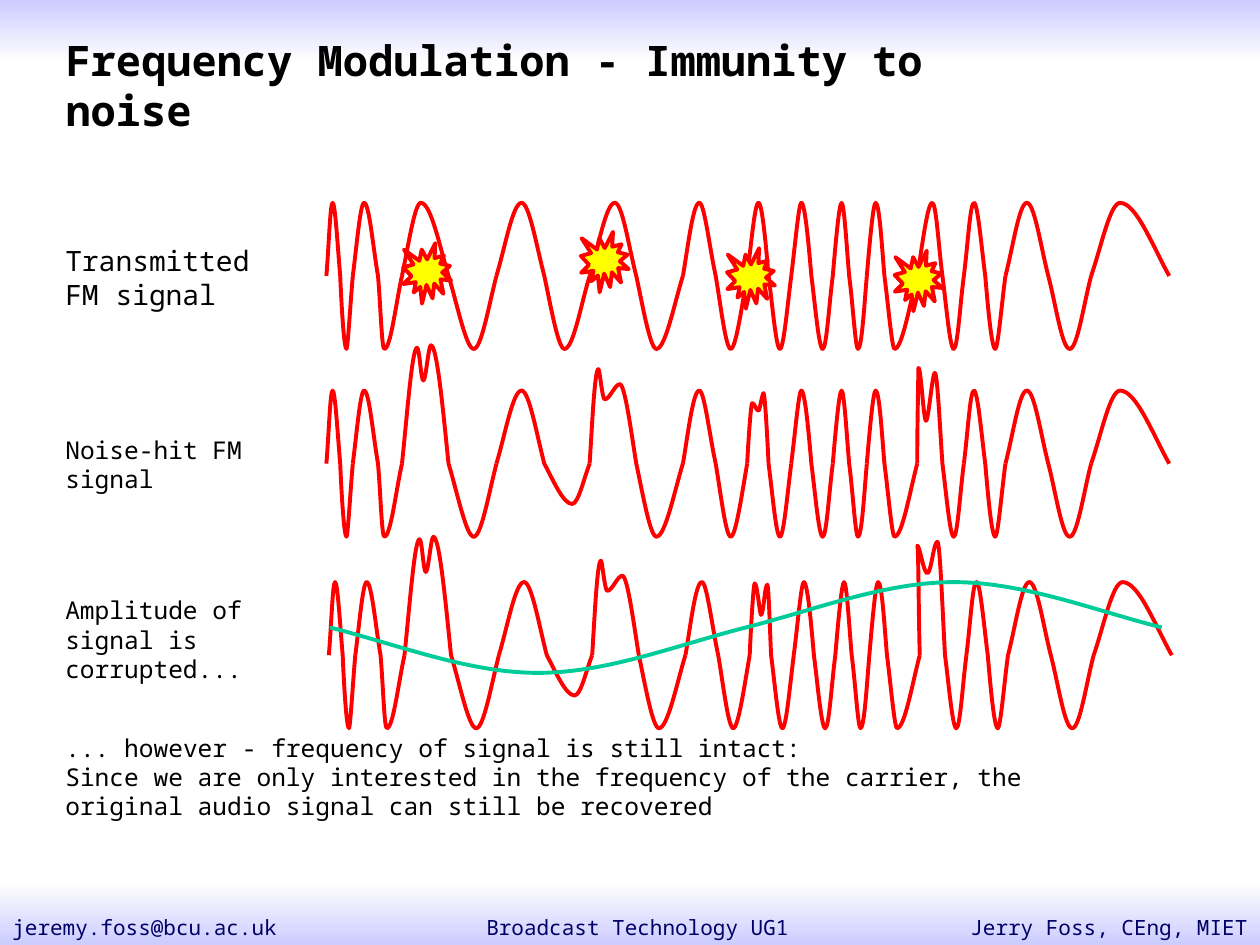
import pptx
import pptx.dml.color
import pptx.enum.shapes
import pptx.enum.text
import pptx.oxml.ns
import pptx.util

PX = 9144  # 100 px to the inch
FONT = "Noto Sans Mono"
ALIGN = pptx.enum.text.PP_ALIGN
SHAPE = pptx.enum.shapes.MSO_SHAPE
RED, YELLOW, GREEN = "FF0000", "FFFF00", "00CC99"
LILAC, WHITE, NAVY, BLACK = "CCCCFF", "FFFFFF", "000066", "000000"
LINE_WIDTH = pptx.util.Pt(2.25)

rgb = pptx.dml.color.RGBColor.from_string
qn = pptx.oxml.ns.qn


def draw_wave(nodes, left, axis, color):
    """Draw a smooth wave through (x, height above the axis) nodes.

    The wave lies flat at every crest and trough, and slopes where the height is 0.
    """
    controls = []
    for (x0, h0), (x1, h1) in zip(nodes, nodes[1:]):
        third = (x1 - x0) / 3
        leave = h0 if h0 else 0.4 * h1
        arrive = h1 if h1 else 0.4 * h0
        controls += [(x0 + third, leave), (x1 - third, arrive), (x1, h1)]
    start, *controls = [(left + x, axis - h) for x, h in nodes[:1] + controls]

    builder = shapes.build_freeform(*start, scale=PX)
    builder.add_line_segments(controls, close=False)
    wave = builder.convert_to_shape()
    wave.shadow.inherit = False
    wave.fill.background()
    wave.line.color.rgb = rgb(color)
    wave.line.width = LINE_WIDTH

    # Join each three straight segments into one Bezier curve
    outline = next(wave.element.iter(qn("a:path")))
    segments = outline.findall(qn("a:lnTo"))
    for first, second, last in zip(segments[::3], segments[1::3], segments[2::3]):
        first.tag = qn("a:cubicBezTo")
        for segment in (second, last):
            first.append(segment[0])
            outline.remove(segment)


def set_text(box, left, top, width, height, lines, size, color, align=ALIGN.LEFT, bold=False):
    box.left, box.top, box.width, box.height = (v * PX for v in (left, top, width, height))
    frame = box.text_frame
    frame.text = "\n".join(lines)
    frame.word_wrap = True
    frame.auto_size = pptx.enum.text.MSO_AUTO_SIZE.NONE
    frame.vertical_anchor = pptx.enum.text.MSO_ANCHOR.MIDDLE
    for paragraph in frame.paragraphs:
        paragraph.alignment = align
        paragraph.font.name = FONT
        paragraph.font.size = pptx.util.Pt(size)
        paragraph.font.bold = bold
        paragraph.font.color.rgb = rgb(color)


prs = pptx.Presentation()
prs.slide_width, prs.slide_height = 1000 * PX, 750 * PX
slide = prs.slides.add_slide(prs.slide_layouts[5])
shapes = slide.shapes

# Shaded bands at the top and bottom edges
for top, colors in ((0, (LILAC, WHITE)), (700, (WHITE, LILAC))):
    band = shapes.add_shape(SHAPE.RECTANGLE, 0, top * PX, 1000 * PX, 50 * PX)
    band.shadow.inherit = False
    band.line.fill.background()
    band.fill.gradient()
    band.fill.gradient_angle = 270
    for stop, color in zip(band.fill.gradient_stops, colors):
        stop.color.rgb = rgb(color)

# Title, brought in front of the bands
title = shapes.title
title.element.getparent().append(title.element)
set_text(title, 42, 42, 712, 50, ["Frequency Modulation - Immunity to noise"],
         24, BLACK, bold=True)

# FM carrier: the amplitude is constant, the cycle length carries the signal
AMPLITUDE = 58
WAVE_LEFT = 259
cycle_lengths = [21, 39, 75, 74, 74, 51, 35, 33, 27, 40, 37, 33, 68]

# Where crest, middle crossing and trough fall, as shares of the cycle length
EVEN = (0.25, 0.5, 0.75)
timing = {1: (0.23, 0.51, 0.64), 2: (0.2, 0.5, 0.76), 3: (0.27, 0.51, 0.73),
          4: (0.27, 0.5, 0.72), 9: (0.18, 0.36, 0.56), 10: (0.32, 0.54, 0.78)}

# Noise, by cycle number: a burst splits a crest into peak, dent and peak,
# or weakens a trough; each point is (share of cycle length, height)
split_crests = {2: [(0.16, 92), (0.23, 66), (0.31, 94)],
                4: [(0.09, 75), (0.16, 51), (0.32, 63)]}
hit_crests = split_crests | {6: [(0.11, 48), (0.26, 42), (0.37, 56)],
                             10: [(0.04, 76), (0.19, 34), (0.38, 72)]}
corrupted_crests = split_crests | {6: [(0.11, 57), (0.27, 32), (0.4, 56)],
                                   10: [(-0.06, 87), (0.16, 65), (0.38, 90)]}
weak_troughs = {3: (0.81, -32)}

# Left edge, axis, crests and troughs changed by noise: one row per signal
signals = [
    (WAVE_LEFT, 219, {}, {}),
    (WAVE_LEFT, 368, hit_crests, weak_troughs),
    (WAVE_LEFT + 2, 520, corrupted_crests, weak_troughs),
]
for left, axis, noisy_crests, noisy_troughs in signals:
    for number, length in enumerate(cycle_lengths):
        crest, middle, trough = timing.get(number, EVEN)
        crest_points = noisy_crests.get(number, [(crest, AMPLITUDE)])
        trough_point = noisy_troughs.get(number, (trough, -AMPLITUDE))
        cycle = [(0, 0), *crest_points, (middle, 0), trough_point, (1, 0)]
        draw_wave([(share * length, height) for share, height in cycle], left, axis, RED)
        left += length
    draw_wave([(0, 0), (23, AMPLITUDE), (62, 0)], left, axis, RED)  # closing half cycle

# Noise bursts on the transmitted signal
for left, top in ((320, 193), (461, 184), (577, 197), (710, 199)):
    burst = shapes.add_shape(SHAPE.EXPLOSION1, left * PX, top * PX, 38 * PX, 48 * PX)
    burst.shadow.inherit = False
    burst.fill.solid()
    burst.fill.fore_color.rgb = rgb(YELLOW)
    burst.line.color.rgb = rgb(RED)
    burst.line.width = LINE_WIDTH

# Audio signal: one slow cycle, trough first
AUDIO_QUARTER, AUDIO_AMPLITUDE = 165, 36
audio = [(quarter * AUDIO_QUARTER, sign * AUDIO_AMPLITUDE)
         for quarter, sign in enumerate((0, -1, 0, 1, 0))]
draw_wave(audio, 262, 498, GREEN)

# Row labels, conclusion and footer
conclusion = [
    "... however - frequency of signal is still intact:",
    "Since we are only interested in the frequency of the carrier, "
    "the original audio signal can still be recovered",
]
texts = [
    (42, 188, 190, 64, ["Transmitted FM signal"], 16, BLACK),
    (42, 340, 162, 57, ["Noise-hit FM signal"], 14, BLACK),
    (42, 467, 190, 81, ["Amplitude of signal is corrupted..."], 14, BLACK),
    (42, 576, 855, 81, conclusion, 14, BLACK),
    (0, 721, 317, 29, ["jeremy.foss@bcu.ac.uk"], 12, NAVY),
    (266, 721, 480, 29, ["Broadcast Technology UG1"], 12, NAVY, ALIGN.CENTER),
    (683, 721, 317, 29, ["Jerry Foss, CEng, MIET"], 12, NAVY, ALIGN.RIGHT),
]
for text in texts:
    set_text(shapes.add_textbox(0, 0, 0, 0), *text)

prs.save("out.pptx")
